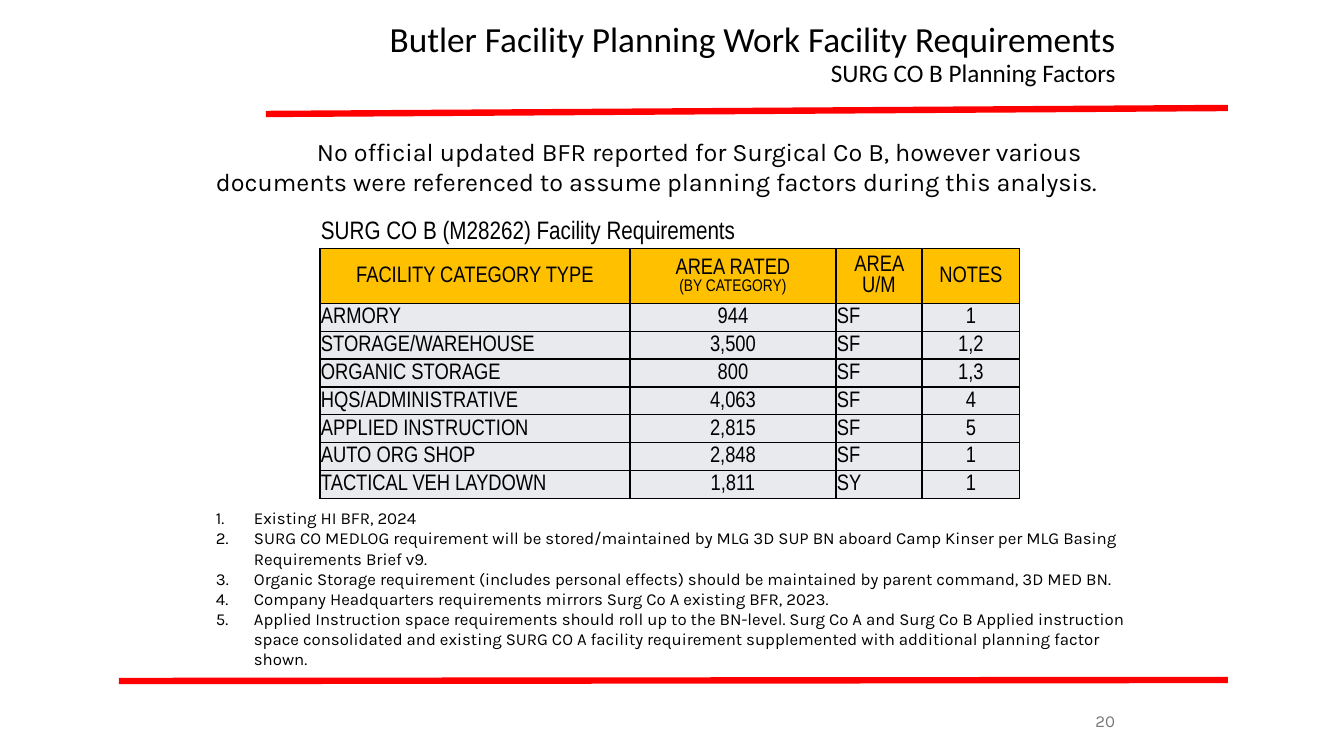
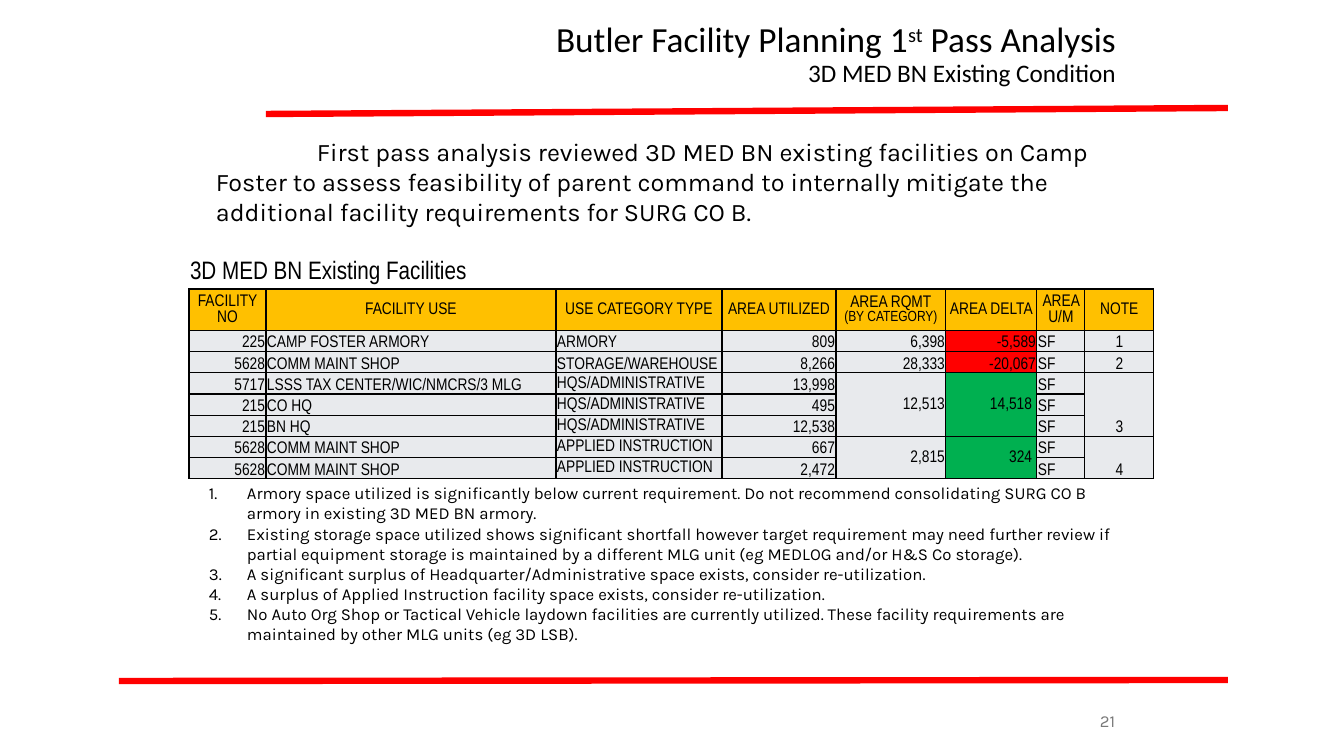
from lxml import etree
from pptx import Presentation
from pptx.dml.color import RGBColor
from pptx.enum.shapes import MSO_CONNECTOR
from pptx.enum.text import MSO_ANCHOR, MSO_AUTO_SIZE, PP_ALIGN
from pptx.oxml.ns import qn
from pptx.util import Pt

PX = 914400 / 100.8
BLACK = RGBColor(0x00, 0x00, 0x00)
WHITE = RGBColor(0xFF, 0xFF, 0xFF)
GRAY = RGBColor(0x79, 0x79, 0x79)
RED = RGBColor(0xFF, 0x00, 0x00)
GREEN = RGBColor(0x00, 0xB0, 0x50)
AMBER = RGBColor(0xFF, 0xC0, 0x00)
PALE = RGBColor(0xE8, 0xEA, 0xED)
ALIGN = {"l": PP_ALIGN.LEFT, "c": PP_ALIGN.CENTER, "r": PP_ALIGN.RIGHT}
MIDDLE, BOTTOM = MSO_ANCHOR.MIDDLE, MSO_ANCHOR.BOTTOM
NO_FIT = MSO_AUTO_SIZE.NONE
STRAIGHT = MSO_CONNECTOR.STRAIGHT
TITLE_ONLY = 5

RULES = [(266, 114, 1228, 108), (119, 681, 1228, 680)]
BORDER = 12700
NOTE_INDENT = 38
INTRO_INDENT = 101

# In titles, text between ^ marks is superscript.
SLIDES = [
    {
        "number": "20",
        "title": "Butler Facility Planning Work Facility Requirements",
        "subtitle": "SURG CO B Planning Factors",
        "intro": "No official updated BFR reported for Surgical Co B, however various documents "
                 "were referenced to assume planning factors during this analysis.",
        "intro_height": 72,
        "table_at": (320, 217),
        "widths": [310, 206, 86, 98],
        "heights": (30, 55, 192),
        "sizes": (16, 12),
        "align": "lclc",
        "anchor": MIDDLE,
        "caption": "SURG CO B (M28262) Facility Requirements",
        "header": ["FACILITY CATEGORY TYPE", "AREA RATED\n(BY CATEGORY)", "AREA U/M", "NOTES"],
        "rows": [
            ("ARMORY", "944", "SF", "1"),
            ("STORAGE/WAREHOUSE", "3,500", "SF", "1,2"),
            ("ORGANIC STORAGE", "800", "SF", "1,3"),
            ("HQS/ADMINISTRATIVE", "4,063", "SF", "4"),
            ("APPLIED INSTRUCTION", "2,815", "SF", "5"),
            ("AUTO ORG SHOP", "2,848", "SF", "1"),
            ("TACTICAL VEH LAYDOWN", "1,811", "SY", "1"),
        ],
        "delta_col": None,
        "middle_cols": (),
        "merged_cols": (),
        "merged_rows": (),
        "notes_at": (206, 503, 930, 152),
        "notes": [
            "Existing HI BFR, 2024",
            "SURG CO MEDLOG requirement will be stored/maintained by MLG 3D SUP BN aboard "
            "Camp Kinser per MLG Basing Requirements Brief v9.",
            "Organic Storage requirement (includes personal effects) should be maintained by "
            "parent command, 3D MED BN.",
            "Company Headquarters requirements mirrors Surg Co A existing BFR, 2023.",
            "Applied Instruction space requirements should roll up to the BN-level. Surg Co A "
            "and Surg Co B Applied instruction space consolidated and existing SURG CO A "
            "facility requirement supplemented with additional planning factor shown.",
        ],
    },
    {
        "number": "21",
        "title": "Butler Facility Planning 1^st^ Pass Analysis",
        "subtitle": "3D MED BN Existing Condition",
        "intro": "First pass analysis reviewed 3D MED BN existing facilities on Camp Foster to "
                 "assess feasibility of parent command to internally mitigate the additional "
                 "facility requirements for SURG CO B.",
        "intro_height": 102,
        "table_at": (189, 257),
        "widths": [77, 290, 166, 114, 110, 91, 48, 69],
        "heights": (32, 41, 147),
        "sizes": (12, 10.5),
        "align": "rllrrrlc",
        "anchor": BOTTOM,
        "caption": "3D MED BN Existing Facilities",
        "header": ["FACILITY NO", "FACILITY USE", "USE CATEGORY TYPE", "AREA UTILIZED",
                   "AREA RQMT\n(BY CATEGORY)", "AREA DELTA", "AREA U/M", "NOTE"],
        "rows": [
            ("225", "CAMP FOSTER ARMORY", "ARMORY", "809", "6,398", "-5,589", "SF", "1"),
            ("5628", "COMM MAINT SHOP", "STORAGE/WAREHOUSE", "8,266", "28,333", "-20,067",
             "SF", "2"),
            ("5717", "LSSS TAX CENTER/WIC/NMCRS/3 MLG", "HQS/ADMINISTRATIVE", "13,998",
             "12,513", "14,518 ", "SF", "3"),
            ("215", "CO HQ", "HQS/ADMINISTRATIVE", "495", "", "", "SF", ""),
            ("215", "BN HQ", "HQS/ADMINISTRATIVE", "12,538", "", "", "SF", ""),
            ("5628", "COMM MAINT SHOP", "APPLIED INSTRUCTION", "667", "2,815", "324 ", "SF", "4"),
            ("5628", "COMM MAINT SHOP", "APPLIED INSTRUCTION", "2,472", "", "", "SF", ""),
        ],
        "delta_col": 5,
        "middle_cols": (2, 4, 5),
        "merged_cols": (4, 5, 7),
        "merged_rows": ((4, 6), (7, 8)),
        "notes_at": (199, 478, 943, 173),
        "notes": [
            "Armory space utilized is significantly below current requirement. Do not recommend "
            "consolidating SURG CO B armory in existing 3D MED BN armory.",
            "Existing storage space utilized shows significant shortfall however target "
            "requirement may need further review if partial equipment storage is maintained by "
            "a different MLG unit (eg MEDLOG and/or H&S Co storage).",
            "A significant surplus of Headquarter/Administrative space exists, consider "
            "re-utilization.",
            "A surplus of Applied Instruction facility space exists, consider re-utilization.",
            "No Auto Org Shop or Tactical Vehicle laydown facilities are currently utilized. "
            "These facility requirements are maintained by other MLG units (eg 3D LSB).",
        ],
    },
]


def add_text(s, box, text, size, color=BLACK):
    """Add a wrapping Karla text box, one paragraph per line of text."""
    tf = s.shapes.add_textbox(*[round(v * PX) for v in box]).text_frame
    tf.word_wrap = True
    tf.text = text
    for p in tf.paragraphs:
        font = p.runs[0].font
        font.name, font.size, font.color.rgb = "Karla", Pt(size), color
    return tf


def style_cell(cell, text, sizes, align, anchor, fill, edges="LRTB"):
    """Fill one table cell; lines after the first take the second size."""
    cell.margin_left = cell.margin_right = cell.margin_top = round(PX)
    cell.margin_bottom = 0
    cell.vertical_anchor = anchor
    tc_pr = cell._tc.get_or_add_tcPr()
    for edge in "LRTB":
        ln = etree.SubElement(tc_pr, qn(f"a:ln{edge}"), w=str(BORDER))
        if edge in edges:
            solid = etree.SubElement(ln, qn("a:solidFill"))
            etree.SubElement(solid, qn("a:srgbClr"), val=str(BLACK))
        else:
            etree.SubElement(ln, qn("a:noFill"))
    cell.fill.solid()
    cell.fill.fore_color.rgb = fill
    cell.text_frame.text = text
    for i, p in enumerate(cell.text_frame.paragraphs):
        p.alignment = ALIGN[align]
        for r in p.runs:
            r.font.name, r.font.size = "Arial Narrow", Pt(sizes[min(i, 1)])
            r.font.color.rgb = BLACK


prs = Presentation()
prs.slide_width, prs.slide_height = round(1344 * PX), round(756 * PX)
layout = prs.slide_layouts[TITLE_ONLY]

for d in SLIDES:
    s = prs.slides.add_slide(layout)

    title = s.shapes.title
    title.left, title.top, title.width, title.height = [round(v * PX) for v in (219, 17, 907, 76)]
    tf = title.text_frame
    tf.auto_size = NO_FIT
    tf.vertical_anchor = MIDDLE
    for p, text, size in ((tf.paragraphs[0], d["title"], 25.2),
                          (tf.add_paragraph(), d["subtitle"], 18)):
        p.alignment = PP_ALIGN.RIGHT
        p.line_spacing = 0.9
        for i, piece in enumerate(text.split("^")):
            r = p.add_run()
            r.text = piece
            r.font.name, r.font.size, r.font.color.rgb = "Calibri", Pt(size), BLACK
            if i % 2:
                r._r.get_or_add_rPr().set("baseline", "30000")

    tf = add_text(s, (890, 701, 235, 40), d["number"], 12, GRAY)
    tf.vertical_anchor = MIDDLE
    tf.paragraphs[0].alignment = PP_ALIGN.RIGHT

    tf = add_text(s, (206, 131, 949, d["intro_height"]), d["intro"], 18)
    tf.paragraphs[0]._p.get_or_add_pPr().set("indent", str(round(INTRO_INDENT * PX)))

    tf = add_text(s, d["notes_at"], "\n".join(d["notes"]), 12)
    for p in tf.paragraphs:
        p_pr = p._p.get_or_add_pPr()
        p_pr.set("marL", str(round(NOTE_INDENT * PX)))
        p_pr.set("indent", str(round(-NOTE_INDENT * PX)))
        etree.SubElement(p_pr, qn("a:buAutoNum"), type="arabicPeriod")

    widths, rows = d["widths"], d["rows"]
    box = (*d["table_at"], sum(widths), sum(d["heights"]))
    table = s.shapes.add_table(len(rows) + 2, len(widths), *[round(v * PX) for v in box]).table
    table.first_row = table.horz_banding = False
    for col, width in zip(table.columns, widths):
        col.width = round(width * PX)
    caption_h, header_h, body_h = d["heights"]
    row_heights = [caption_h, header_h] + [body_h / len(rows)] * len(rows)
    for row, height in zip(table.rows, row_heights):
        row.height = round(height * PX)

    for c, label in enumerate(d["header"]):
        caption = d["caption"] if c == 0 else ""
        style_cell(table.cell(0, c), caption, (18, 18), "l", MIDDLE, WHITE, "B")
        style_cell(table.cell(1, c), label, d["sizes"], "c", MIDDLE, AMBER)
    for r, values in enumerate(rows, 2):
        for c, value in enumerate(values):
            fill = PALE
            if c == d["delta_col"]:
                fill = RED if value.startswith("-") else GREEN
            anchor = MIDDLE if c in d["middle_cols"] and r >= 4 else d["anchor"]
            style_cell(table.cell(r, c), value, d["sizes"], d["align"][c], anchor, fill)
    table.cell(0, 0).merge(table.cell(0, len(widths) - 1))
    for first, last in d["merged_rows"]:
        for c in d["merged_cols"]:
            table.cell(first, c).merge(table.cell(last, c))

# The red rules belong to the layout, which cannot create connectors itself.
rules = [s.shapes.add_connector(STRAIGHT, *[round(v * PX) for v in ends]) for ends in RULES]
for rule in rules:
    rule.line.color.rgb = RED
    rule.line.width = Pt(4.56)
    etree.SubElement(rule.element.spPr, qn("a:effectLst"))
    layout.shapes.element.append(rule.element)

prs.save("out.pptx")
